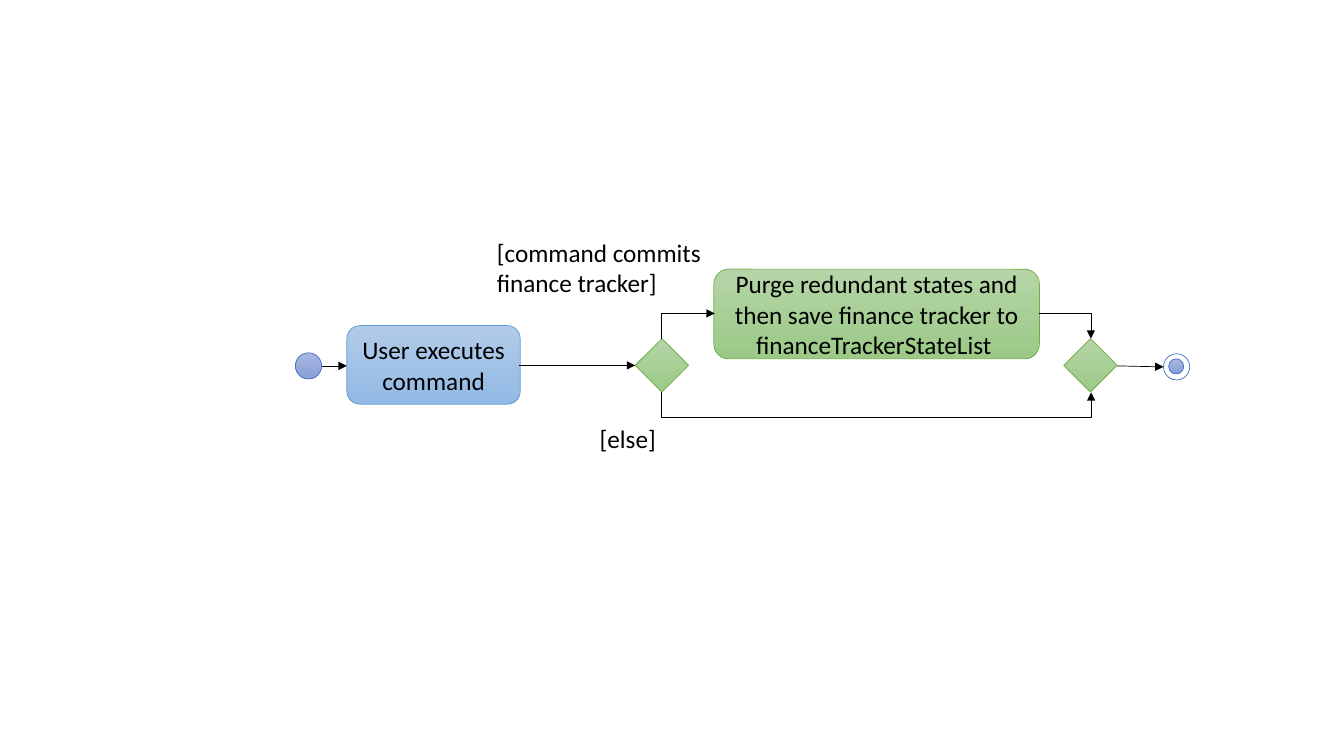
"""Build an activity diagram of saving the finance tracker state after a command."""
from dataclasses import dataclass
from typing import Optional

from lxml.etree import SubElement
from pptx import Presentation
from pptx.dml.color import RGBColor
from pptx.enum.shapes import MSO_CONNECTOR, MSO_SHAPE
from pptx.enum.text import MSO_ANCHOR, PP_ALIGN
from pptx.oxml.ns import qn
from pptx.util import Inches, Length, Pt

CELL = Inches(0.1)
FONT = "Calibri"
BLACK = RGBColor(0x00, 0x00, 0x00)
WHITE = RGBColor(0xFF, 0xFF, 0xFF)


@dataclass(frozen=True)
class Palette:
    top: RGBColor
    bottom: RGBColor
    outline: RGBColor


INDIGO = RGBColor(0x44, 0x72, 0xC4)
MARKER = Palette(RGBColor(0xA8, 0xB7, 0xDF), RGBColor(0x88, 0x9E, 0xD7), INDIGO)
RING = Palette(WHITE, WHITE, INDIGO)
COMMAND = Palette(RGBColor(0xB1, 0xCB, 0xE9), RGBColor(0x93, 0xB9, 0xE4),
                  RGBColor(0x5B, 0x9B, 0xD5))
TRACKER = Palette(RGBColor(0xB5, 0xD5, 0xA7), RGBColor(0x9C, 0xC9, 0x87),
                  RGBColor(0x70, 0xAD, 0x47))


@dataclass(frozen=True)
class Box:
    column: float
    row: float
    columns: float
    rows: float

    def lengths(self) -> tuple[Length, ...]:
        return tuple(cells(n) for n in (self.column, self.row, self.columns, self.rows))


@dataclass(frozen=True)
class Node:
    outline: MSO_SHAPE
    box: Box
    palette: Palette
    wording: str = ""


@dataclass(frozen=True)
class Guard:
    box: Box
    wording: str


@dataclass(frozen=True)
class Flow:
    box: Box
    preset: str = "line"
    turn: int = 0
    flips: str = ""
    bend: Optional[int] = None


NODES = (
    Node(MSO_SHAPE.OVAL, Box(29.3, 35, 2.6, 2.6), MARKER),
    Node(MSO_SHAPE.ROUNDED_RECTANGLE, Box(34.4, 32.3, 17.2, 7.8), COMMAND,
         "User executes command"),
    Node(MSO_SHAPE.DIAMOND, Box(63, 33.6, 5.3, 5.3), TRACKER),
    Node(MSO_SHAPE.ROUNDED_RECTANGLE, Box(70.8, 26.7, 32.3, 8.9), TRACKER,
         "Purge redundant states and then save finance tracker to financeTrackerStateList "),
    Node(MSO_SHAPE.DIAMOND, Box(105.5, 33.6, 5.3, 5.3), TRACKER),
)
FINAL_NODE = (
    Node(MSO_SHAPE.OVAL, Box(115.4, 35.1, 2.6, 2.6), RING),
    Node(MSO_SHAPE.OVAL, Box(115.9, 35.6, 1.5, 1.5), MARKER),
)
GUARDS = (
    Guard(Box(58.5, 41.5, 9.3, 4), "[else]"),
    Guard(Box(48.3, 23, 22.6, 7.1), "[command commits finance tracker]"),
)
FLOWS = (
    Flow(Box(31.9, 36.3, 2.5, 0)),
    Flow(Box(51.5, 36.25, 11.5, 0)),
    Flow(Box(110.8, 36.3, 4.6, 0.1)),
    Flow(Box(67, 29.7, 2.5, 5.3), "bentConnector2", 90, "HV"),
    Flow(Box(86.9, 17.6, 0.05, 42.6), "bentConnector3", 270, "H", 50),
    Flow(Box(103.1, 31.1, 5.1, 2.5), "bentConnector2"),
)


def cells(count: float) -> Length:
    return Length(round(count * CELL))


def write(frame, wording: str) -> None:
    frame.word_wrap = True
    run = frame.paragraphs[0].add_run()
    run.text = wording
    run.font.name = FONT
    run.font.size = Pt(18)
    run.font.color.rgb = BLACK


def draw_node(shapes, node: Node) -> None:
    shape = shapes.add_shape(node.outline, *node.box.lengths())
    shape.shadow.inherit = False
    shape.line.color.rgb = node.palette.outline
    shape.line.width = Pt(0.5)
    if node.palette.top == node.palette.bottom:
        shape.fill.solid()
        shape.fill.fore_color.rgb = node.palette.top
    else:
        shape.fill.gradient()
        shape.fill.gradient_angle = 270
        for stop, color in zip(shape.fill.gradient_stops,
                               (node.palette.top, node.palette.bottom)):
            stop.color.rgb = color
    if node.wording:
        write(shape.text_frame, node.wording)
        shape.text_frame.vertical_anchor = MSO_ANCHOR.MIDDLE
        shape.text_frame.paragraphs[0].alignment = PP_ALIGN.CENTER


def draw_guard(shapes, guard: Guard) -> None:
    write(shapes.add_textbox(*guard.box.lengths()).text_frame, guard.wording)


def draw_flow(shapes, flow: Flow) -> None:
    left, top, width, height = flow.box.lengths()
    kind = MSO_CONNECTOR.STRAIGHT if flow.preset == "line" else MSO_CONNECTOR.ELBOW
    arrow = shapes.add_connector(kind, left, top, left + width, top + height)
    arrow.line.color.rgb = BLACK
    arrow.line.width = Pt(0.5)
    properties = arrow._element.spPr
    SubElement(properties.find(qn("a:ln")), qn("a:tailEnd"), type="triangle")
    SubElement(properties, qn("a:effectLst"))
    transform = properties.find(qn("a:xfrm"))
    if flow.turn:
        transform.set("rot", str(flow.turn * 60000))
    for axis in flow.flips:
        transform.set(f"flip{axis}", "1")
    geometry = properties.find(qn("a:prstGeom"))
    geometry.set("prst", flow.preset)
    if flow.bend is not None:
        SubElement(geometry.find(qn("a:avLst")), qn("a:gd"),
                   name="adj1", fmla=f"val {flow.bend * 100000}")


def main() -> None:
    deck = Presentation()
    deck.slide_width, deck.slide_height = Inches(13.33), Inches(7.5)
    shapes = deck.slides.add_slide(deck.slide_layouts[6]).shapes
    for node in NODES:
        draw_node(shapes, node)
    final_shapes = shapes.add_group_shape().shapes
    for node in FINAL_NODE:
        draw_node(final_shapes, node)
    for guard in GUARDS:
        draw_guard(shapes, guard)
    for flow in FLOWS:
        draw_flow(shapes, flow)
    deck.save("out.pptx")


main()
